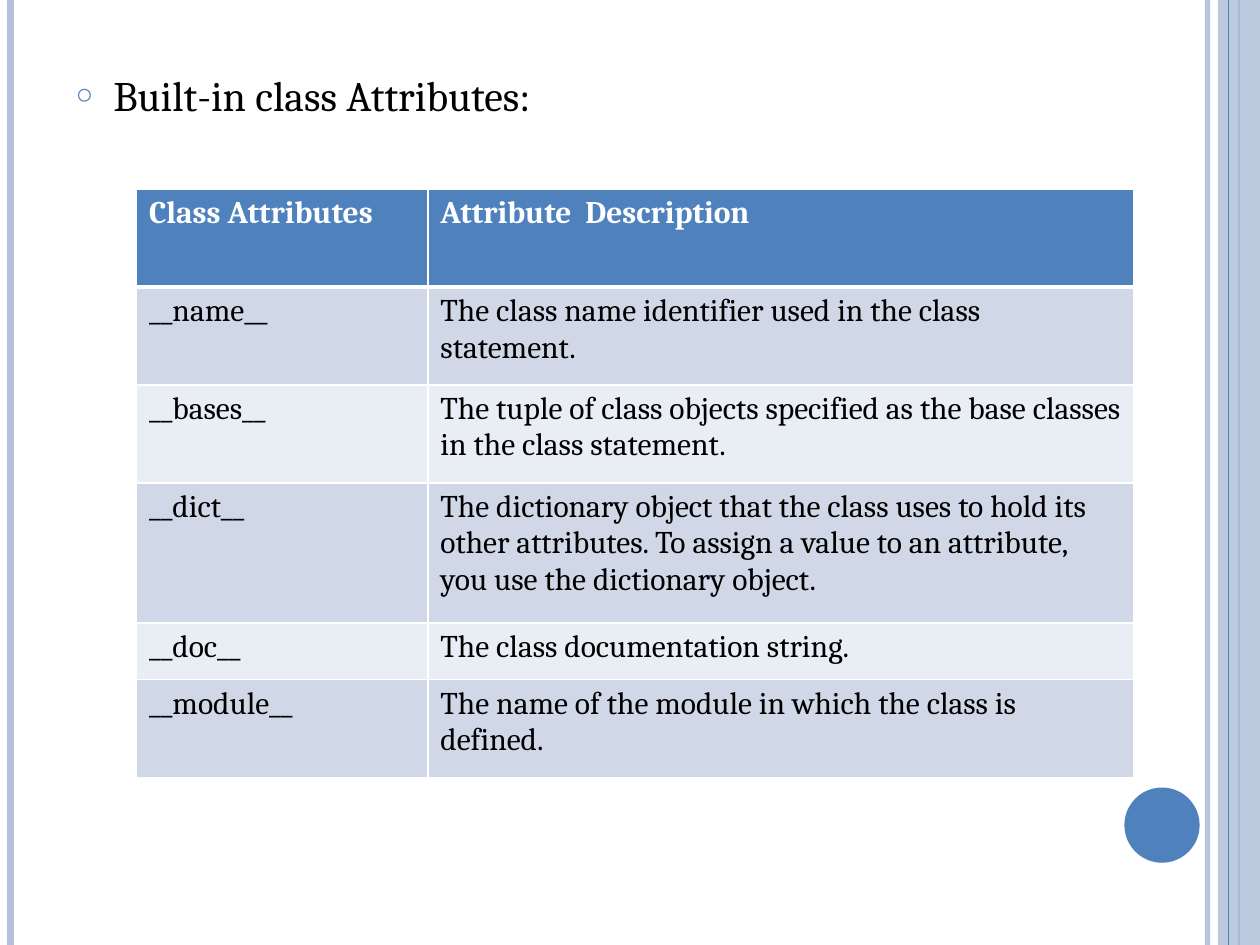
from lxml.etree import SubElement
from pptx import Presentation
from pptx.dml.color import RGBColor
from pptx.enum.shapes import MSO_CONNECTOR, MSO_SHAPE
from pptx.enum.text import MSO_ANCHOR, MSO_AUTO_SIZE, PP_ALIGN
from pptx.oxml.ns import qn
from pptx.util import Pt

WIDTH, HEIGHT = 720, 540
BLUE, PALE, WHITE, BLACK = "4F81BD", "B3C1DB", "FFFFFF", "000000"
BANDS = ("D0D8E8", "E9EDF4")
HEADING = "Built-in class Attributes:"
ROWS = [
    ("Class Attributes", "Attribute  Description"),
    ("__name__", "The class name identifier used in the class statement."),
    ("__bases__", "The tuple of class objects specified as the base classes in the class statement."),
    ("__dict__", "The dictionary object that the class uses to hold its other attributes. "
                 "To assign a value to an attribute, you use the dictionary object."),
    ("__doc__", "The class documentation string."),
    ("__module__", "The name of the module in which the class is defined."),
]
COLUMN_WIDTHS = (166.5, 403.5)
ROW_HEIGHTS = (56, 56, 56, 80, 32.5, 56)
TABLE_LEFT, TABLE_TOP = 78, 108
RULES_BEHIND = [(690, PALE, 3, 93), (6, PALE, 4.5, 100), (708, BLUE, 1.5, 100)]
RULES_FRONT = [(702, BLUE, 0.75, 100)]
BAND_BOX = (696, 0, 24, HEIGHT)
CIRCLE_BOX = (642.5, 450, 43, 43)
BODY_BOX = (36, 36, 648, 446.5)


def paint(color_format, color, opacity=100):
    color_format.rgb = RGBColor.from_string(color)
    if opacity < 100:
        swatch = next(color_format._xFill.iter(qn("a:srgbClr")))
        SubElement(swatch, qn("a:alpha"), val=str(opacity * 1000))


def apply(target, values):
    for name, value in values.items():
        setattr(target, name, value)


def write(para, text, color, **font_values):
    span = para.add_run()
    span.text = text
    apply(span.font, {"name": "Cambria", **font_values})
    paint(span.font.color, color)


def add_rule(page, x, color, weight, opacity):
    rule = page.shapes.add_connector(MSO_CONNECTOR.STRAIGHT, Pt(x), 0, Pt(x), Pt(HEIGHT))
    rule.line.width = Pt(weight)
    rule.line.fill.solid()
    paint(rule.line.fill.fore_color, color, opacity)
    SubElement(rule._element.spPr, qn("a:effectLst"))


def add_block(page, kind, bounds, color, opacity=100):
    block = page.shapes.add_shape(kind, *map(Pt, bounds))
    block.shadow.inherit = False
    block.line.fill.background()
    block.fill.solid()
    paint(block.fill.fore_color, color, opacity)


def add_decoration(page):
    for rule in RULES_BEHIND:
        add_rule(page, *rule)
    add_block(page, MSO_SHAPE.RECTANGLE, BAND_BOX, PALE, 87)
    for rule in RULES_FRONT:
        add_rule(page, *rule)
    add_block(page, MSO_SHAPE.OVAL, CIRCLE_BOX, BLUE)


def add_heading(page):
    body = page.placeholders[1]
    apply(body, dict(zip(("left", "top", "width", "height"), map(Pt, BODY_BOX))))
    apply(body.text_frame, {"word_wrap": True, "auto_size": MSO_AUTO_SIZE.NONE,
                            "vertical_anchor": MSO_ANCHOR.TOP})
    para = body.text_frame.paragraphs[0]
    apply(para, {"space_before": Pt(6), "alignment": PP_ALIGN.LEFT})
    write(para, HEADING, BLACK, size=Pt(24))
    properties = para._p.get_or_add_pPr()
    properties.set("marL", str(Pt(21.6)))
    properties.set("indent", str(-Pt(21.6)))
    bullet_color = SubElement(properties, qn("a:buClr"))
    SubElement(bullet_color, qn("a:srgbClr"), val=BLUE)
    SubElement(properties, qn("a:buSzPct"), val="70000")
    SubElement(properties, qn("a:buChar"), char="○")
    page.shapes._spTree.append(body._element)


def add_borders(cell, weights):
    properties = cell._tc.get_or_add_tcPr()
    for side, weight in weights.items():
        border = SubElement(properties, qn(f"a:ln{side}"), w=str(Pt(weight)))
        SubElement(SubElement(border, qn("a:solidFill")), qn("a:srgbClr"), val=WHITE)


def add_attribute_table(page):
    table = page.shapes.add_table(
        len(ROWS), len(COLUMN_WIDTHS), Pt(TABLE_LEFT), Pt(TABLE_TOP),
        Pt(sum(COLUMN_WIDTHS)), Pt(sum(ROW_HEIGHTS))).table
    for column, width in zip(table.columns, COLUMN_WIDTHS):
        column.width = Pt(width)
    for index, (row, height, texts) in enumerate(zip(table.rows, ROW_HEIGHTS, ROWS)):
        row.height = Pt(height)
        header = index == 0
        fill = BLUE if header else BANDS[(index - 1) % 2]
        weights = {"L": 1, "R": 1, "T": 3 if index == 1 else 1, "B": 3 if header else 1}
        for cell, text in zip(row.cells, texts):
            add_borders(cell, weights)
            cell.fill.solid()
            paint(cell.fill.fore_color, fill)
            write(cell.text_frame.paragraphs[0], text, WHITE if header else BLACK,
                  size=Pt(18), bold=header)


def main():
    deck = Presentation()
    apply(deck, {"slide_width": Pt(WIDTH), "slide_height": Pt(HEIGHT)})
    page = deck.slides.add_slide(deck.slide_layouts[1])
    title = page.shapes.title._element
    title.getparent().remove(title)
    add_decoration(page)
    add_heading(page)
    add_attribute_table(page)
    deck.save("out.pptx")


if __name__ == "__main__":
    main()
